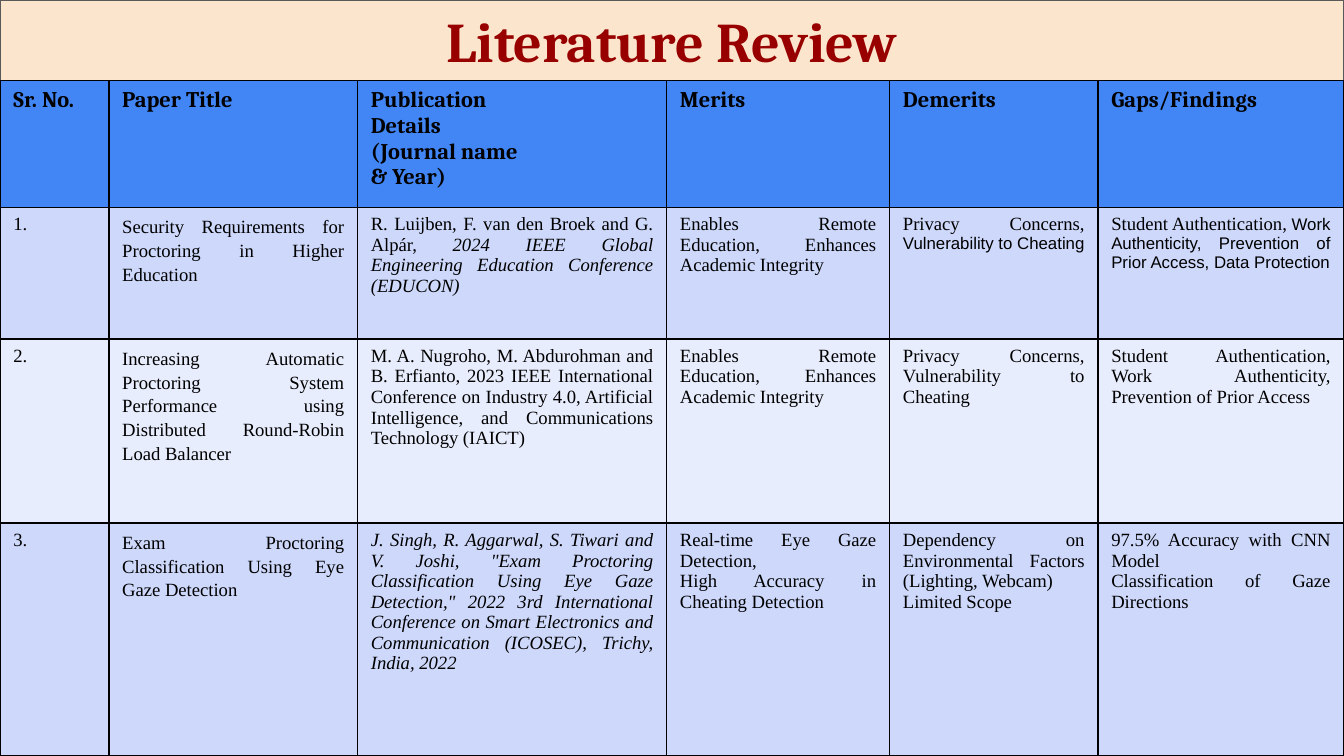
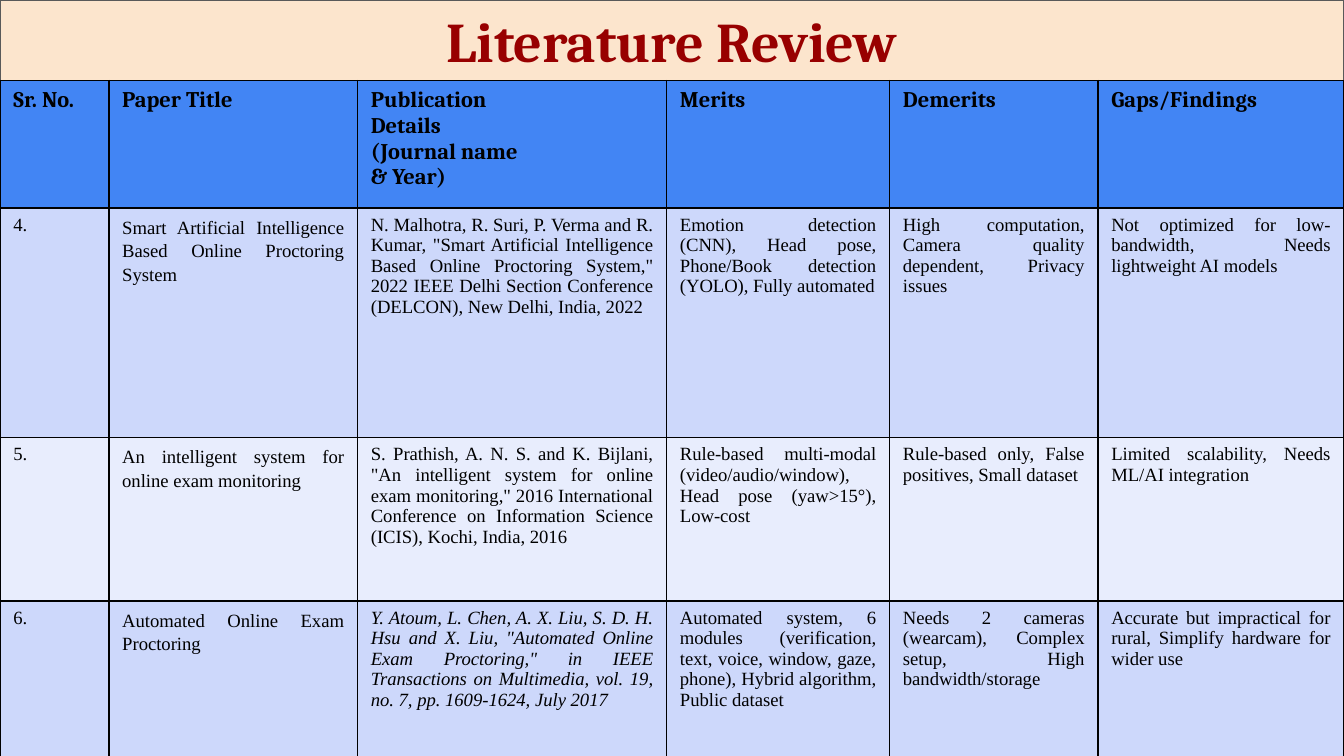
from dataclasses import dataclass
from typing import NamedTuple

import lxml.etree
import pptx
import pptx.dml.color
import pptx.enum.shapes
import pptx.enum.text
import pptx.oxml.ns
import pptx.util

Pt = pptx.util.Pt
Align = pptx.enum.text.PP_ALIGN
Anchor = pptx.enum.text.MSO_ANCHOR


@dataclass(frozen=True)
class Theme:
    band: str = "FCE5CD"
    band_line: str = "595959"
    title: str = "980000"
    header: str = "4285F4"
    stripes: tuple = ("CDD8FB", "E8EDFD")
    ink: str = "000000"
    heading_font: str = "Cambria"
    body_font: str = "Times New Roman"
    small_font: str = "Arial"
    title_size: float = 30
    header_size: float = 12
    body_size: float = 10
    small_size: float = 9


class Span(NamedTuple):
    """A stretch of text whose format may differ from its cell's."""
    text: str
    italic: bool = False
    small: bool = False


# A cell holds paragraphs, and a paragraph holds spans.
Cell = list[list[Span]]


class Paper(NamedTuple):
    number: str
    title: str
    publication: Cell
    merits: Cell
    demerits: Cell
    findings: Cell
    height: float
    title_space_after: float = 0


class ReviewPage(NamedTuple):
    header_height: float
    header_align: Align
    papers: list[Paper]


THEME = Theme()
SLIDE_WIDTH, SLIDE_HEIGHT = 720, 405
BAND_HEIGHT = 43.2
COLUMN_WIDTHS = (58.3, 133.2, 165.6, 119.5, 111.6, 131.8)
HEADINGS = (
    "Sr. No.",
    "Paper Title",
    "Publication\nDetails\n(Journal name\n& Year)",
    "Merits",
    "Demerits",
    "Gaps/Findings",
)


def plain(text: str, italic: bool = False) -> Cell:
    """One paragraph for each line of text."""
    return [[Span(line, italic)] for line in text.split("\n")]


# Content
PAGES = [
    ReviewPage(67.9, Align.JUSTIFY, [
        Paper(
            "1.",
            "Security Requirements for Proctoring in Higher Education",
            [[Span("R. Luijben, F. van den Broek and G. Alpár, "),
              Span("2024 IEEE Global Engineering Education Conference (EDUCON)",
                   italic=True)]],
            plain("Enables Remote Education, Enhances Academic Integrity"),
            [[Span("Privacy Concerns, "),
              Span("Vulnerability to Cheating", small=True)]],
            [[Span("Student Authentication, "),
              Span("Work Authenticity, Prevention of Prior Access, "
                   "Data Protection", small=True)]],
            height=70.6,
        ),
        Paper(
            "2.",
            "Increasing Automatic Proctoring System Performance using "
            "Distributed Round-Robin Load Balancer",
            plain("M. A. Nugroho, M. Abdurohman and B. Erfianto, 2023 IEEE "
                  "International Conference on Industry 4.0, Artificial "
                  "Intelligence, and Communications Technology (IAICT)"),
            plain("Enables Remote Education, Enhances Academic Integrity"),
            plain("Privacy Concerns, Vulnerability to Cheating"),
            plain("Student Authentication, Work Authenticity, "
                  "Prevention of Prior Access"),
            height=98.6,
            title_space_after=6,
        ),
        Paper(
            "3.",
            "Exam Proctoring Classification Using Eye Gaze Detection",
            plain('J. Singh, R. Aggarwal, S. Tiwari and V. Joshi, "Exam '
                  'Proctoring Classification Using Eye Gaze Detection," 2022 '
                  "3rd International Conference on Smart Electronics and "
                  "Communication (ICOSEC), Trichy, India, 2022", italic=True),
            plain("Real-time Eye Gaze Detection, \n"
                  "High Accuracy in Cheating Detection"),
            plain("Dependency on Environmental Factors (Lighting, Webcam)\n"
                  "Limited Scope"),
            plain("97.5% Accuracy with CNN Model\n"
                  "Classification of Gaze Directions"),
            height=124.6,
        ),
    ]),
    ReviewPage(68.2, Align.LEFT, [
        Paper(
            "4.",
            "Smart Artificial Intelligence Based Online Proctoring System",
            plain('N. Malhotra, R. Suri, P. Verma and R. Kumar, "Smart '
                  'Artificial Intelligence Based Online Proctoring System," '
                  "2022 IEEE Delhi Section Conference (DELCON), New Delhi, "
                  "India, 2022"),
            plain("Emotion detection (CNN), Head pose, Phone/Book detection "
                  "(YOLO), Fully automated"),
            plain("High computation, Camera quality dependent, Privacy issues"),
            plain("Not optimized for low-bandwidth, Needs lightweight AI models"),
            height=123.1,
        ),
        Paper(
            "5.",
            "An intelligent system for online exam monitoring",
            plain('S. Prathish, A. N. S. and K. Bijlani, "An intelligent '
                  'system for online exam monitoring," 2016 International '
                  "Conference on Information Science (ICIS), Kochi, India, 2016"),
            plain("Rule-based multi-modal (video/audio/window), Head pose "
                  "(yaw>15°), Low-cost"),
            plain("Rule-based only, False positives, Small dataset"),
            plain("Limited scalability, Needs ML/AI integration"),
            height=87.4,
        ),
        Paper(
            "6.",
            "Automated Online Exam Proctoring",
            plain("Y. Atoum, L. Chen, A. X. Liu, S. D. H. Hsu and X. Liu, "
                  '"Automated Online Exam Proctoring," in IEEE Transactions '
                  "on Multimedia, vol. 19, no. 7, pp. 1609-1624, July 2017",
                  italic=True),
            plain("Automated system, 6 modules (verification, text, voice, "
                  "window, gaze, phone), Hybrid algorithm, Public dataset"),
            plain("Needs 2 cameras (wearcam), Complex setup, "
                  "High bandwidth/storage"),
            plain("Accurate but impractical for rural, "
                  "Simplify hardware for wider use"),
            height=99.4,
        ),
    ]),
]


# Drawing helpers
def rgb(value: str) -> pptx.dml.color.RGBColor:
    return pptx.dml.color.RGBColor.from_string(value)


def write(frame, content: Cell, *, size: float = THEME.body_size,
          font: str = THEME.body_font, color: str = THEME.ink,
          bold: bool = False, align: Align = Align.JUSTIFY,
          line_spacing: float | None = None, space_before: float = 0,
          space_after: float = 0) -> None:
    frame.word_wrap = True
    for index, spans in enumerate(content):
        paragraph = frame.add_paragraph() if index else frame.paragraphs[0]
        paragraph.alignment = align
        paragraph.line_spacing = line_spacing
        paragraph.space_before = Pt(space_before)
        paragraph.space_after = Pt(space_after)
        for span in spans:
            run = paragraph.add_run()
            run.text = span.text
            run.font.name = THEME.small_font if span.small else font
            run.font.size = Pt(THEME.small_size if span.small else size)
            run.font.bold = bold
            run.font.italic = span.italic
            run.font.color.rgb = rgb(color)


def style_cell(cell, fill: str) -> None:
    """Give a cell its margins, thin black borders and fill."""
    cell.margin_left = cell.margin_right = Pt(7.2)
    cell.margin_top = cell.margin_bottom = Pt(3.6)
    properties = cell._tc.get_or_add_tcPr()
    qn = pptx.oxml.ns.qn
    for edge in ("a:lnL", "a:lnR", "a:lnT", "a:lnB"):
        line = lxml.etree.SubElement(properties, qn(edge), w=str(Pt(1)))
        solid = lxml.etree.SubElement(line, qn("a:solidFill"))
        lxml.etree.SubElement(solid, qn("a:srgbClr"), val=THEME.ink)
    cell.fill.solid()
    cell.fill.fore_color.rgb = rgb(fill)


def draw_title_band(slide, title: str) -> None:
    band = slide.shapes.add_shape(
        pptx.enum.shapes.MSO_SHAPE.RECTANGLE,
        Pt(0), Pt(0), Pt(SLIDE_WIDTH), Pt(BAND_HEIGHT))
    band.shadow.inherit = False
    band.fill.solid()
    band.fill.fore_color.rgb = rgb(THEME.band)
    band.line.color.rgb = rgb(THEME.band_line)
    band.line.width = Pt(0.75)
    frame = band.text_frame
    frame.vertical_anchor = Anchor.MIDDLE
    frame.margin_left = frame.margin_right = Pt(7.2)
    frame.margin_top = frame.margin_bottom = Pt(7.2)
    write(frame, plain(title), size=THEME.title_size, font=THEME.heading_font,
          color=THEME.title, bold=True, align=Align.CENTER)


def draw_review_table(slide, page: ReviewPage) -> None:
    heights = [page.header_height] + [paper.height for paper in page.papers]
    table = slide.shapes.add_table(
        len(heights), len(HEADINGS), Pt(0), Pt(BAND_HEIGHT),
        Pt(SLIDE_WIDTH), Pt(sum(heights))).table
    table.horz_banding = False
    for column, width in zip(table.columns, COLUMN_WIDTHS):
        column.width = Pt(width)
    for row, height in zip(table.rows, heights):
        row.height = Pt(height)

    # Header row
    for column, heading in enumerate(HEADINGS):
        cell = table.cell(0, column)
        style_cell(cell, THEME.header)
        write(cell.text_frame, plain(heading), size=THEME.header_size,
              font=THEME.heading_font, bold=True, align=page.header_align)

    # One row for each paper
    for row, paper in enumerate(page.papers, start=1):
        fill = THEME.stripes[(row - 1) % 2]
        contents = (plain(paper.number), plain(paper.title), paper.publication,
                    paper.merits, paper.demerits, paper.findings)
        for column, content in enumerate(contents):
            cell = table.cell(row, column)
            style_cell(cell, fill)
            spacing = {}
            if HEADINGS[column] == "Paper Title":
                spacing = dict(line_spacing=1.15, space_before=24,
                               space_after=paper.title_space_after)
            write(cell.text_frame, content, **spacing)


def main() -> None:
    deck = pptx.Presentation()
    deck.slide_width, deck.slide_height = Pt(SLIDE_WIDTH), Pt(SLIDE_HEIGHT)
    for page in PAGES:
        slide = deck.slides.add_slide(deck.slide_layouts[6])
        draw_title_band(slide, "Literature Review")
        draw_review_table(slide, page)
    deck.save("out.pptx")


if __name__ == "__main__":
    main()
